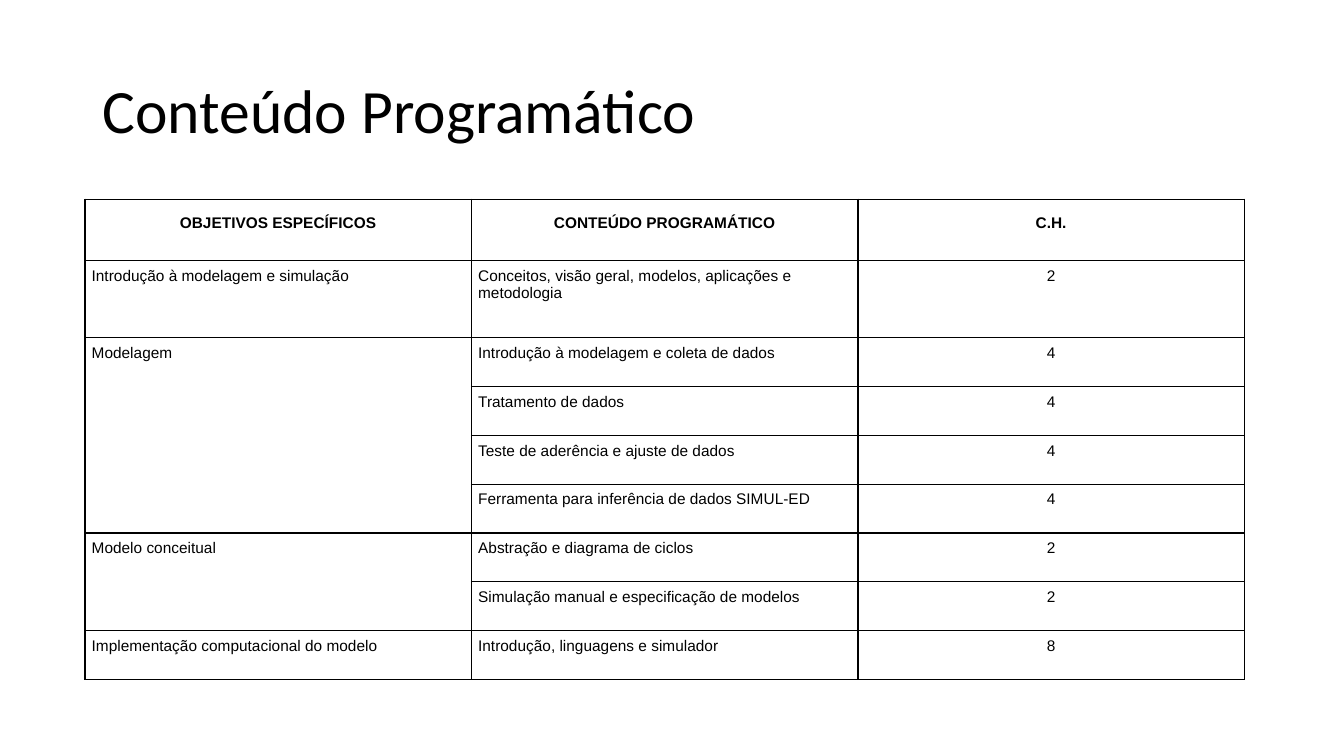
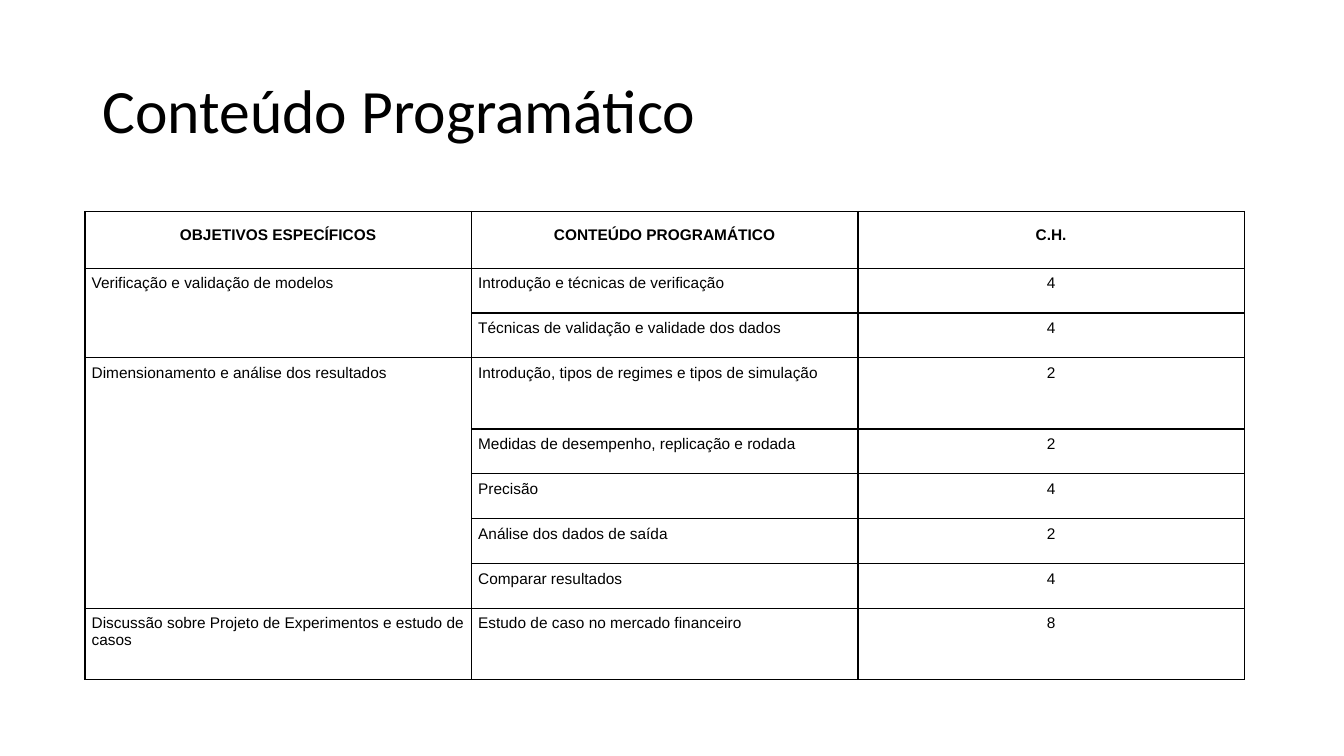
"""Builds two syllabus slides, each with a title and a bordered table."""
from dataclasses import dataclass

from lxml.etree import SubElement
from pptx import Presentation
from pptx.dml.color import RGBColor
from pptx.enum.text import MSO_ANCHOR as Anchor, PP_ALIGN as Align
from pptx.oxml.ns import qn
from pptx.util import Cm, Pt


@dataclass(frozen=True)
class Theme:
    ink: str = "000000"
    title_font: str = "Calibri"
    title_size: int = 44
    table_font: str = "Arial"
    table_size: int = 11
    border_width: int = 1


theme = Theme()
TITLE = "Conteúdo Programático"
HEADERS = ("OBJETIVOS ESPECÍFICOS", "CONTEÚDO PROGRAMÁTICO", "C.H.")
COLUMN_WIDTH = Cm(9.74)
CELL_MARGIN = Cm(0.17)

syllabus_pages = [
    {
        "top": 5.02,
        "heights": [1.55, 1.94] + [1.23] * 7,
        "groups": [
            ("Introdução à modelagem e simulação", [
                ("Conceitos, visão geral, modelos, aplicações e metodologia", 2),
            ]),
            ("Modelagem", [
                ("Introdução à modelagem e coleta de dados", 4),
                ("Tratamento de dados", 4),
                ("Teste de aderência e ajuste de dados", 4),
                ("Ferramenta para inferência de dados SIMUL-ED", 4),
            ]),
            ("Modelo conceitual", [
                ("Abstração e diagrama de ciclos", 2),
                ("Simulação manual e especificação de modelos", 2),
            ]),
            ("Implementação computacional do modelo", [
                ("Introdução, linguagens e simulador", 8),
            ]),
        ],
    },
    {
        "top": 5.33,
        "heights": [1.43] + [1.13] * 2 + [1.79] + [1.13] * 4 + [1.79],
        "groups": [
            ("Verificação e validação de modelos", [
                ("Introdução e técnicas de verificação", 4),
                ("Técnicas de validação e validade dos dados", 4),
            ]),
            ("Dimensionamento e análise dos resultados", [
                ("Introdução, tipos de regimes e tipos de simulação", 2),
                ("Medidas de desempenho, replicação e rodada", 2),
                ("Precisão", 4),
                ("Análise dos dados de saída", 2),
                ("Comparar resultados", 4),
            ]),
            ("Discussão sobre Projeto de Experimentos e estudo de casos", [
                ("Estudo de caso no mercado financeiro", 8),
            ]),
        ],
    },
]


def write(para, text, font, size, bold=False):
    para.text = text
    for span in para.runs:
        span.font.name = font
        span.font.size = Pt(size)
        span.font.bold = bold
        span.font.color.rgb = RGBColor.from_string(theme.ink)


def add_borders(cell):
    properties = cell._tc.get_or_add_tcPr()
    for side in ("a:lnL", "a:lnR", "a:lnT", "a:lnB"):
        line = SubElement(properties, qn(side), w=str(Pt(theme.border_width)))
        fill = SubElement(line, qn("a:solidFill"))
        SubElement(fill, qn("a:srgbClr"), val=theme.ink)


deck = Presentation()
deck.slide_width = Cm(33.87)
deck.slide_height = Cm(19.05)
title_only = deck.slide_layouts[5]

for syllabus in syllabus_pages:
    page = deck.slides.add_slide(title_only)
    title = page.shapes.title
    title.left, title.top, title.width, title.height = Cm(2.33), Cm(1.01), Cm(29.21), Cm(3.68)
    title.text_frame.vertical_anchor = Anchor.MIDDLE
    heading = title.text_frame.paragraphs[0]
    write(heading, TITLE, theme.title_font, theme.title_size)
    heading.alignment = Align.LEFT
    heading.line_spacing = 0.9

    heights = syllabus["heights"]
    table = page.shapes.add_table(
        len(heights), len(HEADERS), Cm(2.14), Cm(syllabus["top"]),
        COLUMN_WIDTH * len(HEADERS), Cm(sum(heights))).table
    table.horz_banding = False
    for column in table.columns:
        column.width = COLUMN_WIDTH
    for row, height in zip(table.rows, heights):
        row.height = Cm(height)

    rows = [HEADERS]
    for objective, topics in syllabus["groups"]:
        first = len(rows)
        for topic, hours in topics:
            rows.append((objective if len(rows) == first else "", topic, str(hours)))
        if len(topics) > 1:
            table.cell(first, 0).merge(table.cell(len(rows) - 1, 0))

    for row_index, texts in enumerate(rows):
        is_header = row_index == 0
        for column_index, text in enumerate(texts):
            cell = table.cell(row_index, column_index)
            cell.margin_left = cell.margin_right = CELL_MARGIN
            cell.margin_top = cell.margin_bottom = CELL_MARGIN
            add_borders(cell)
            cell.fill.background()
            para = cell.text_frame.paragraphs[0]
            write(para, text, theme.table_font, theme.table_size, is_header)
            para.alignment = Align.CENTER if is_header or column_index == 2 else Align.LEFT
            para.line_spacing = 1.5 if is_header else 1.0

deck.save("out.pptx")
